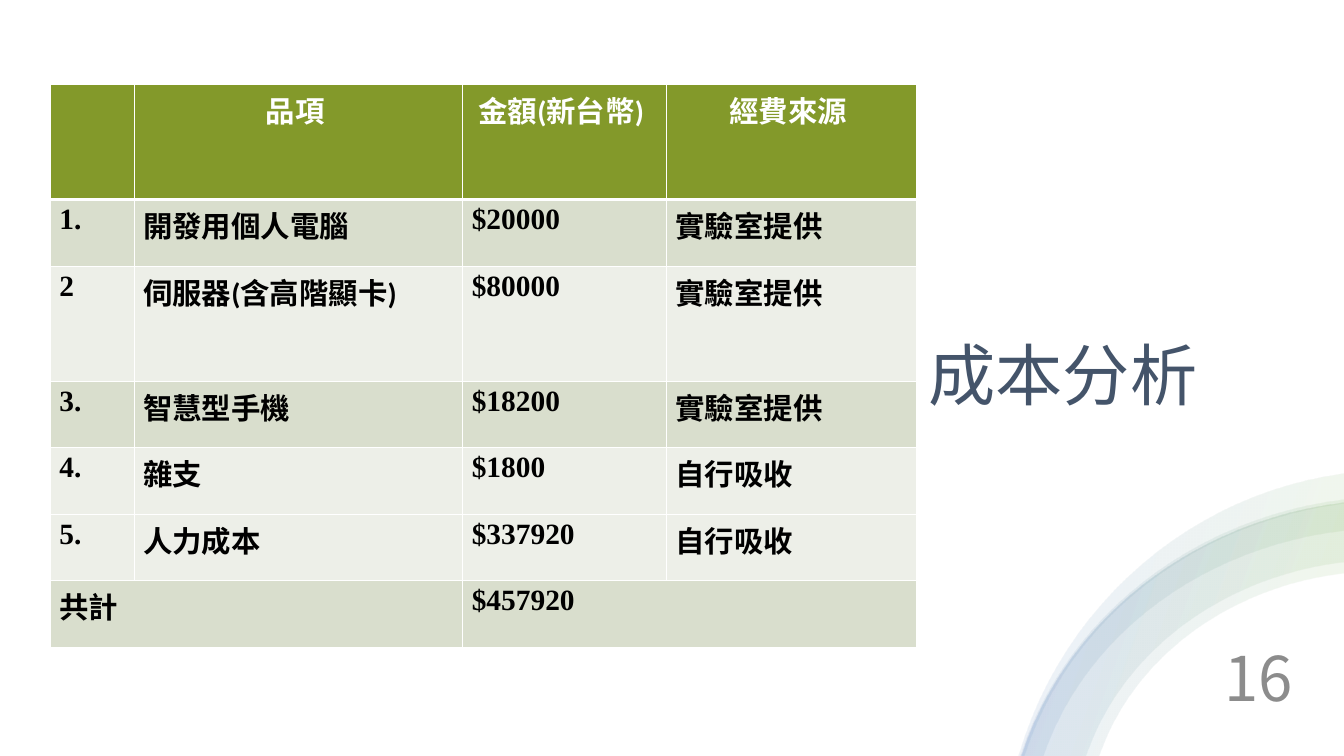
from lxml import etree
from pptx import Presentation
from pptx.dml.color import RGBColor
from pptx.enum.text import MSO_ANCHOR, PP_ALIGN
from pptx.oxml import parse_xml
from pptx.oxml.ns import nsdecls, qn
from pptx.util import Inches, Pt

WHITE = RGBColor(0xFF, 0xFF, 0xFF)
BLACK = RGBColor(0x00, 0x00, 0x00)
NAVY = RGBColor(0x44, 0x54, 0x6A)
GREY = RGBColor(0x8C, 0x8C, 0x8C)
OLIVE = RGBColor(0x83, 0x99, 0x2A)
SAGE = RGBColor(0xD9, 0xDE, 0xCD)
MIST = RGBColor(0xED, 0xEF, 0xE8)
GREEN = RGBColor(0x70, 0xAD, 0x47)
BLUE = RGBColor(0x44, 0x72, 0xC4)

WIDTH, HEIGHT = 13.33, 7.5
HEADING_FONT, ITEM_FONT, NUMBER_FONT = "Noto Sans CJK SC", "Calibri", "Times New Roman"
NBSP = chr(160)

BAND_STOPS = [(2, WHITE), (16, GREEN), (85, BLUE), (100, WHITE)]
BAND_ANGLE, BAND_OPACITY = 200, 10
# Outer and inner edge of each band: x at the slide's bottom, y at its right side.
BANDS = [
    ((10.1, 4.7), (10.16, 5)),
    ((10.13, 4.99), (10.9, 5.69)),
    ((10.12, 4.96), (10.35, 5.27)),
    ((10.13, 4.99), (10.77, 5.58)),
]

COLUMN_WIDTHS = [0.83, 3.26, 2.02, 2.48]
ROW_HEIGHTS = [1.14, 0.66, 1.14] + [0.66] * 4
ROW_FILLS = [OLIVE, SAGE, MIST, SAGE, MIST, MIST, SAGE]
COLUMN_FONTS = [NUMBER_FONT, ITEM_FONT] * 2
COSTS = [
    ["", "品項", "金額(新台幣)", "經費來源"],
    ["1.", "開發用個人電腦", "$20000", "實驗室提供"],
    ["2", "伺服器(含高階顯卡)", "$80000", "實驗室提供"],
    ["3.", "智慧型手機", "$18200", "實驗室提供"],
    ["4.", "雜支", "$1800", "自行吸收"],
    ["5.", "人力成本", "$337920", "自行吸收"],
    ["共計", "", "$457920", ""],
]


def arc_edge(bottom_x, right_y, steps=24):
    """Points in EMU along a cubic curve from the slide's bottom to its right side."""
    across, up = WIDTH - bottom_x, HEIGHT - right_y
    controls = [(bottom_x, HEIGHT),
                (bottom_x + 0.14 * across, HEIGHT - 0.55 * up),
                (WIDTH - 0.46 * across, right_y + 0.07 * up),
                (WIDTH, right_y)]
    points = []
    for step in range(steps + 1):
        t = step / steps
        weights = ((1 - t) ** 3, 3 * t * (1 - t) ** 2, 3 * t * t * (1 - t), t ** 3)
        points.append(tuple(
            Inches(sum(weight * value for weight, value in zip(weights, values)))
            for values in zip(*controls)))
    return points


class CostSlide:
    def __init__(self, presentation):
        self.slide = presentation.slides.add_slide(presentation.slide_layouts[6])
        background = self.slide.background.fill
        background.solid()
        background.fore_color.rgb = WHITE

    def run(self, paragraph, text, font, size, color, bold=False):
        run = paragraph.add_run()
        run.text = text
        run.font.name, run.font.size, run.font.bold = font, Pt(size), bold
        run.font.color.rgb = color
        return run

    def heading(self, text, box, size, color, align):
        frame = self.slide.shapes.add_textbox(*map(Inches, box)).text_frame
        frame.word_wrap = True
        frame.vertical_anchor = MSO_ANCHOR.MIDDLE
        paragraph = frame.paragraphs[0]
        paragraph.alignment = align
        paragraph.line_spacing = 0.9
        run = self.run(paragraph, text, HEADING_FONT, size, color)
        east_asian = etree.SubElement(run.font._element, qn("a:ea"))
        east_asian.set("typeface", HEADING_FONT)

    def arc(self, bands):
        group = self.slide.shapes.add_group_shape()
        stops = "".join(
            f'<a:gs pos="{position * 1000}"><a:srgbClr val="{color}">'
            f'<a:alpha val="{BAND_OPACITY * 1000}"/></a:srgbClr></a:gs>'
            for position, color in BAND_STOPS)
        for outer, inner in bands:
            start, *rest = arc_edge(*outer) + arc_edge(*inner)[::-1]
            builder = group.shapes.build_freeform(*start)
            builder.add_line_segments(rest)
            band = builder.convert_to_shape()
            band.shadow.inherit = False
            band.line.fill.background()
            band.element.spPr.find(qn("a:custGeom")).addnext(parse_xml(
                f'<a:gradFill {nsdecls("a")} rotWithShape="1"><a:gsLst>{stops}</a:gsLst>'
                f'<a:lin ang="{BAND_ANGLE * 60000}" scaled="0"/></a:gradFill>'))

    def borders(self, cell, row):
        properties = cell._tc.get_or_add_tcPr()
        widths = {"L": 0.75, "R": 0.75, "T": 3 if row == 1 else 0.75,
                  "B": 3 if row == 0 else 0.75}
        for side, width in widths.items():
            properties.append(parse_xml(
                f'<a:ln{side} {nsdecls("a")} w="{Pt(width)}"><a:solidFill>'
                f'<a:srgbClr val="{WHITE}"/></a:solidFill></a:ln{side}>'))

    def cost_cell(self, cell, text, row, column):
        self.borders(cell, row)
        cell.fill.solid()
        cell.fill.fore_color.rgb = ROW_FILLS[row]
        cell.margin_left = cell.margin_right = Inches(0.09)
        cell.margin_top = cell.margin_bottom = Inches(0.04)
        if not text:
            return
        paragraph = cell.text_frame.paragraphs[0]
        is_header, is_total = row == 0, row == len(COSTS) - 1
        if is_header:
            paragraph.alignment = PP_ALIGN.CENTER
        elif column == 0 and not is_total:
            paragraph.alignment = PP_ALIGN.JUSTIFY
        font = ITEM_FONT if is_header or (is_total and column == 0) else COLUMN_FONTS[column]
        self.run(paragraph, text + NBSP, font, 21, WHITE if is_header else BLACK, True)

    def cost_table(self, left, top):
        table = self.slide.shapes.add_table(
            len(COSTS), len(COLUMN_WIDTHS), Inches(left), Inches(top),
            Inches(sum(COLUMN_WIDTHS)), Inches(sum(ROW_HEIGHTS))).table
        for column, width in zip(table.columns, COLUMN_WIDTHS):
            column.width = Inches(width)
        for row, height in zip(table.rows, ROW_HEIGHTS):
            row.height = Inches(height)
        for row, texts in enumerate(COSTS):
            for column, text in enumerate(texts):
                self.cost_cell(table.cell(row, column), text, row, column)
        total_row = len(COSTS) - 1
        for column in (0, 2):
            table.cell(total_row, column).merge(table.cell(total_row, column + 1))


def main():
    presentation = Presentation()
    presentation.slide_width, presentation.slide_height = Inches(WIDTH), Inches(HEIGHT)
    costs = CostSlide(presentation)
    costs.heading("成本分析", (9.11, 1.69, 3.72, 4.13), 48, NAVY, PP_ALIGN.LEFT)
    costs.arc(BANDS)
    costs.cost_table(0.5, 0.84)
    costs.heading("16", (9.92, 6.56, 3, 0.4), 44, GREY, PP_ALIGN.RIGHT)
    presentation.save("out.pptx")


if __name__ == "__main__":
    main()
